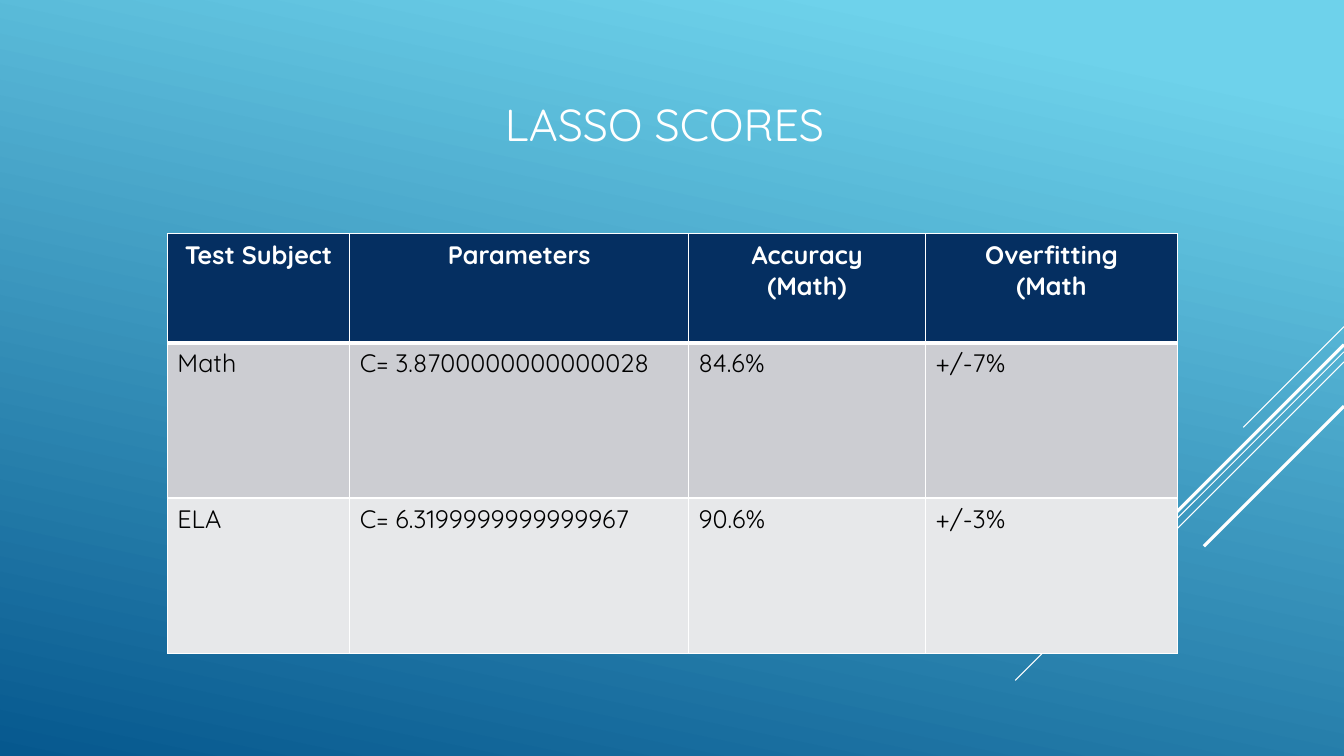
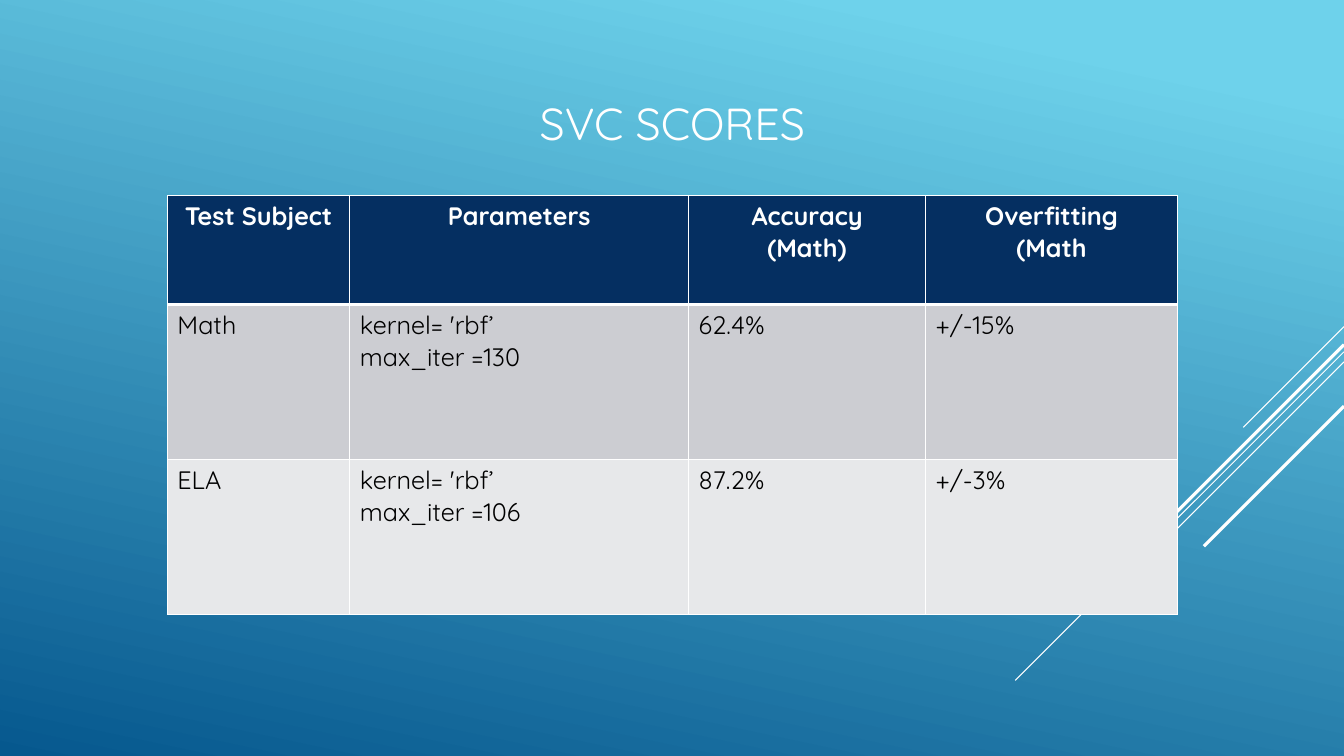
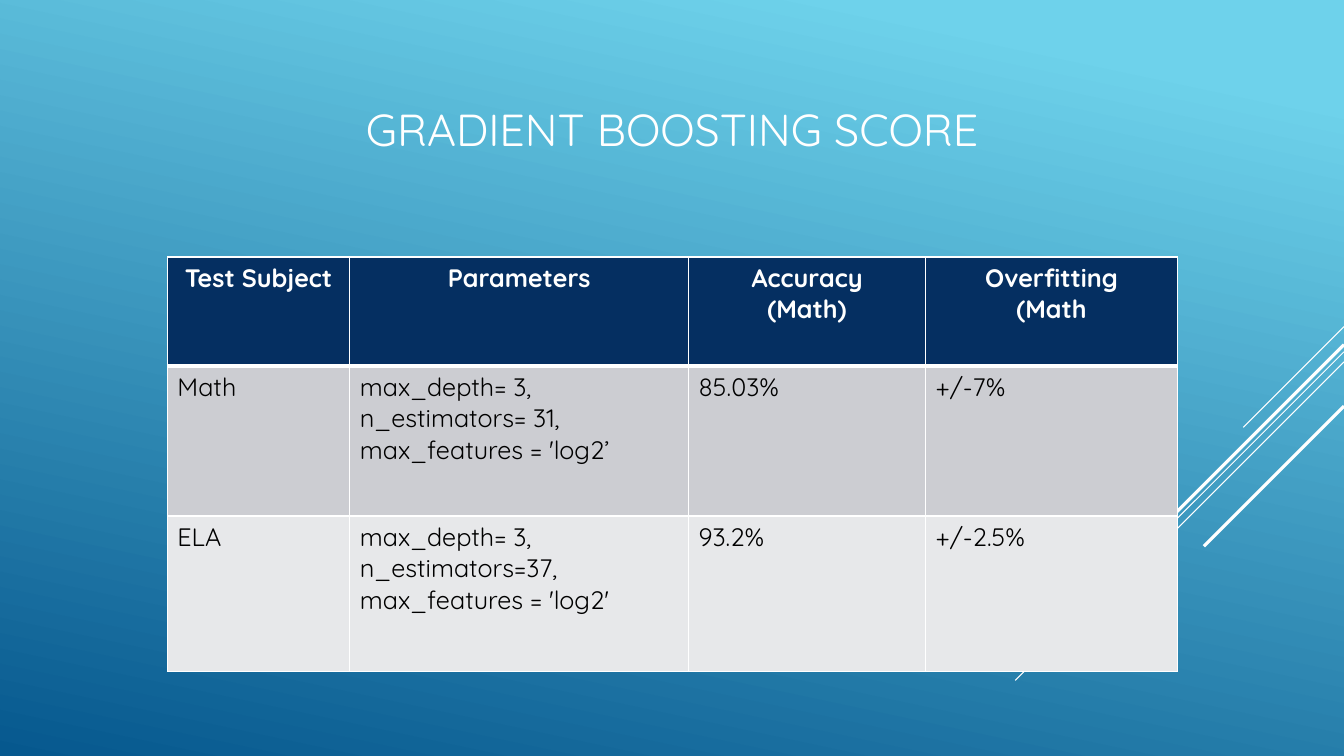
from dataclasses import dataclass
from itertools import product

from lxml.etree import SubElement
from pptx import Presentation
from pptx.dml.color import RGBColor
from pptx.enum.shapes import MSO_CONNECTOR as Connector
from pptx.enum.text import MSO_ANCHOR as Anchor, PP_ALIGN as Align
from pptx.oxml.ns import qn
from pptx.util import Inches, Pt


@dataclass(frozen=True)
class Theme:
    """Colours, type sizes and line widths shared by the slides."""
    font: str = "Quicksand"
    title_size: int = 32
    table_size: int = 18
    white: str = "FFFFFF"
    black: str = "000000"
    header: str = "052F61"
    bands: tuple = ("CCCDD2", "E7E8EA")
    gradient: tuple = ((0.1, "6ED2EB"), (1.0, "06588E"))
    gradient_angle: int = 102
    thin: float = 0.75
    thick: float = 2.25
    border: int = 1
    header_border: int = 3


THEME = Theme()
WIDTH, HEIGHT = 13.33, 7.5
RAYS = (
    (3.24, 1.0, THEME.thin),
    (3.49, 3.26, THEME.thin),
    (3.59, 2.07, THEME.thin),
    (3.42, 1.91, THEME.thick),
    (4.03, 1.39, THEME.thick),
)
TABLE_LEFT = 1.66
COLUMNS = (1.81, 3.36, 2.35, 2.5)
HEADINGS = ("Test Subject", "Parameters", "Accuracy\n(Math)", "Overfitting\n(Math")
SCORES = (
    ("LASSO SCORES", (4.91, 0.47, 3.51, 1.52), Align.LEFT, 2.32, (1.08, 1.54, 1.54), (
        ("Math", "C= 3.8700000000000028", "84.6%", "+/-7%"),
        ("ELA", "C= 6.3199999999999967", "90.6%", "+/-3%"),
    )),
    ("SVC SCORES", (1.17, 0.69, 11, 1.05), Align.CENTER, 1.94, (1.08, 1.54, 1.54), (
        ("Math", "kernel= 'rbf’\nmax_iter =130", "62.4%", "+/-15%"),
        ("ELA", "kernel= 'rbf’\nmax_iter =106", "87.2%", "+/-3%"),
    )),
    ("GRADIENT BOOSTING SCORE", (1.17, 0.84, 11, 0.88), Align.CENTER, 2.55, (1.08, 1.49, 1.54), (
        ("Math", "max_depth= 3, n_estimators= 31, max_features = 'log2’", "85.03%", "+/-7%"),
        ("ELA", "max_depth= 3, n_estimators=37, max_features = 'log2'", "93.2%", "+/-2.5%"),
    )),
)


def rgb(value):
    """Return the colour for a hex string."""
    return RGBColor.from_string(value)


def style_text(text_frame, size, color, align, bold=False):
    """Apply one font and alignment to every paragraph."""
    for paragraph in text_frame.paragraphs:
        paragraph.alignment = align
        font = paragraph.font
        font.name, font.size, font.bold = THEME.font, Pt(size), bold
        font.color.rgb = rgb(color)


def set_background(master):
    """Give the master the gradient that all slides inherit."""
    fill = master.background.fill
    fill.gradient()
    fill.gradient_angle = 360 - THEME.gradient_angle
    for stop, (position, color) in zip(fill.gradient_stops, THEME.gradient):
        stop.position = position
        stop.color.rgb = rgb(color)


def add_rays(slide):
    """Draw the diagonal lines running in from the right edge."""
    for top, length, weight in RAYS:
        ray = slide.shapes.add_connector(
            Connector.STRAIGHT, Inches(WIDTH), Inches(top),
            Inches(WIDTH - length), Inches(top + length))
        ray.line.color.rgb = rgb(THEME.white)
        ray.line.width = Pt(weight)
        SubElement(ray._element.spPr, qn("a:effectLst"))


def add_title(slide, text, box, align):
    """Add the slide title."""
    shape = slide.shapes.add_textbox(*map(Inches, box))
    text_frame = shape.text_frame
    text_frame.word_wrap = True
    text_frame.vertical_anchor = Anchor.MIDDLE
    text_frame.text = text
    style_text(text_frame, THEME.title_size, THEME.white, align)


def set_borders(cell, top, bottom):
    """Draw white borders round a cell."""
    properties = cell._tc.get_or_add_tcPr()
    weights = {"L": THEME.border, "R": THEME.border, "T": top, "B": bottom}
    for side, weight in weights.items():
        line = SubElement(properties, qn(f"a:ln{side}"), w=str(Pt(weight)))
        fill = SubElement(line, qn("a:solidFill"))
        SubElement(fill, qn("a:srgbClr"), val=THEME.white)


def style_cell(cell, row):
    """Style a cell as heading or as banded body."""
    heading = row == 0
    set_borders(cell,
                THEME.header_border if row == 1 else THEME.border,
                THEME.header_border if heading else THEME.border)
    cell.fill.solid()
    cell.fill.fore_color.rgb = rgb(THEME.header if heading else THEME.bands[(row - 1) % 2])
    style_text(cell.text_frame, THEME.table_size,
               THEME.white if heading else THEME.black,
               Align.CENTER if heading else Align.LEFT, heading)


def add_score_table(slide, top, heights, body):
    """Add the table of scores under its headings."""
    rows = (HEADINGS, *body)
    table = slide.shapes.add_table(
        len(rows), len(COLUMNS), Inches(TABLE_LEFT), Inches(top),
        Inches(sum(COLUMNS)), Inches(sum(heights))).table
    for column, width in zip(table.columns, COLUMNS):
        column.width = Inches(width)
    for row, height in zip(table.rows, heights):
        row.height = Inches(height)
    for row, column in product(range(len(rows)), range(len(COLUMNS))):
        cell = table.cell(row, column)
        cell.text = rows[row][column]
        style_cell(cell, row)


def main():
    """Build and save the presentation."""
    presentation = Presentation()
    presentation.slide_width, presentation.slide_height = Inches(WIDTH), Inches(HEIGHT)
    set_background(presentation.slide_master)
    blank = presentation.slide_layouts[6]
    for title, box, align, top, heights, body in SCORES:
        slide = presentation.slides.add_slide(blank)
        add_rays(slide)
        add_title(slide, title, box, align)
        add_score_table(slide, top, heights, body)
    presentation.save("out.pptx")


if __name__ == "__main__":
    main()
